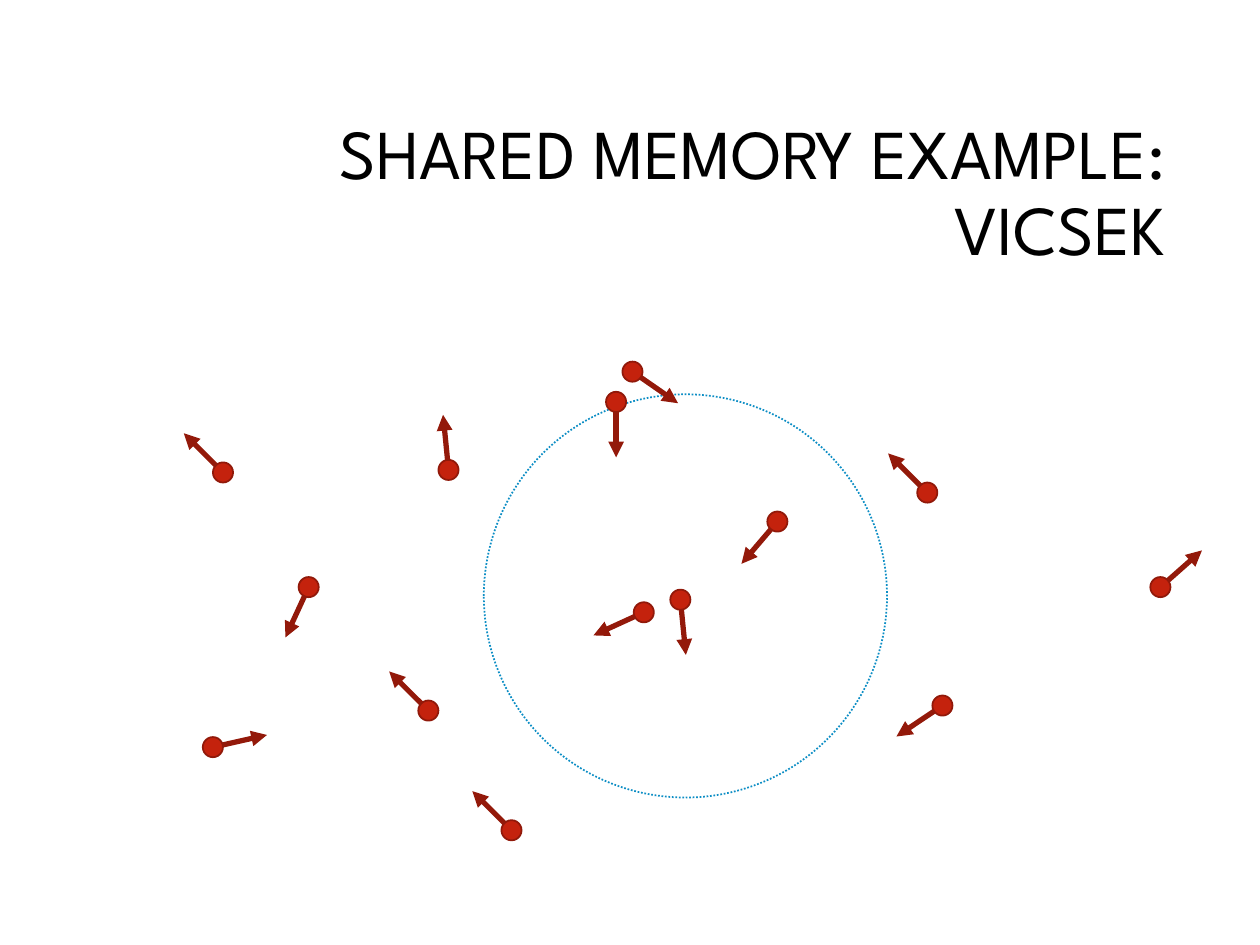
"""Build the Vicsek slide: a title, a sensing ring and moving particles."""
import math
import lxml.etree
import pptx
import pptx.dml.color
import pptx.enum.dml
import pptx.enum.shapes
import pptx.enum.text
import pptx.oxml.ns
import pptx.util

Inches, Pt = pptx.util.Inches, pptx.util.Pt
Color = pptx.dml.color.RGBColor.from_string
Oval = pptx.enum.shapes.MSO_SHAPE.OVAL
Line = pptx.enum.shapes.MSO_CONNECTOR.STRAIGHT
Align = pptx.enum.text
qn = pptx.oxml.ns.qn

theme = {
    "font": "League Spartan", "size": Pt(40), "text": Color("000000"),
    "ring": Color("0D8EC5"), "dot": Color("C4220D"),
    "edge": Color("91190A"), "arrow": Color("93190A"),
    "thin": Pt(1), "thick": Pt(3),
}
radius, reach = 0.08, 0.44
swarm = [
    (1.77, 3.75, 225), (3.56, 3.73, 264.3), (2.45, 4.66, 114.8),
    (3.40, 5.64, 225), (6.17, 4.14, 130.4), (5.11, 4.86, 155.4),
    (5.02, 2.95, 34.7), (7.36, 3.91, 225), (9.21, 4.66, 318.5),
    (7.48, 5.60, 146.1), (5.40, 4.76, 84.3), (4.89, 3.19, 90),
    (4.06, 6.59, 225), (1.69, 5.93, 347.3),
]


def style(item, values):
    for name, value in values.items():
        setattr(item, name, value)


def circle(shapes, x, y, r, color):
    oval = shapes.add_shape(Oval, *map(Inches, (x - r, y - r, 2 * r, 2 * r)))
    oval.shadow.inherit = False
    oval.line.color.rgb = color
    oval.line.width = theme["thin"]
    return oval


deck = pptx.Presentation()
style(deck, {"slide_width": Inches(10), "slide_height": Inches(7.5)})
slide = deck.slides.add_slide(deck.slide_layouts[5])

title = slide.shapes.title
style(title, {"left": Inches(2.38), "top": Inches(0.84),
              "width": Inches(6.97), "height": Inches(1.41)})
frame = title.text_frame
frame.text = "SHARED MEMORY EXAMPLE: VICSEK"
style(frame, {"word_wrap": True, "auto_size": Align.MSO_AUTO_SIZE.NONE,
              "vertical_anchor": Align.MSO_ANCHOR.MIDDLE})
para = frame.paragraphs[0]
style(para, {"alignment": Align.PP_ALIGN.RIGHT, "line_spacing": 0.9})
font = para.runs[0].font
style(font, {"name": theme["font"], "size": theme["size"]})
font.color.rgb = theme["text"]

ring = circle(slide.shapes, 5.44, 4.73, 1.6, theme["ring"])
ring.fill.background()
ring.line.dash_style = pptx.enum.dml.MSO_LINE.ROUND_DOT

for x, y, angle in swarm:
    group = slide.shapes.add_group_shape().shapes
    dot = circle(group, x, y, radius, theme["edge"])
    dot.fill.solid()
    dot.fill.fore_color.rgb = theme["dot"]

    dx, dy = math.cos(math.radians(angle)), math.sin(math.radians(angle))
    ends = [Inches(p + r * d) for r in (radius, reach)
            for p, d in ((x, dx), (y, dy))]
    arrow = group.add_connector(Line, *ends)
    arrow.line.color.rgb = theme["arrow"]
    arrow.line.width = theme["thick"]
    props = arrow.element.spPr
    lxml.etree.SubElement(props.find(qn("a:ln")), qn("a:tailEnd"), type="triangle")
    lxml.etree.SubElement(props, qn("a:effectLst"))

deck.save("out.pptx")
